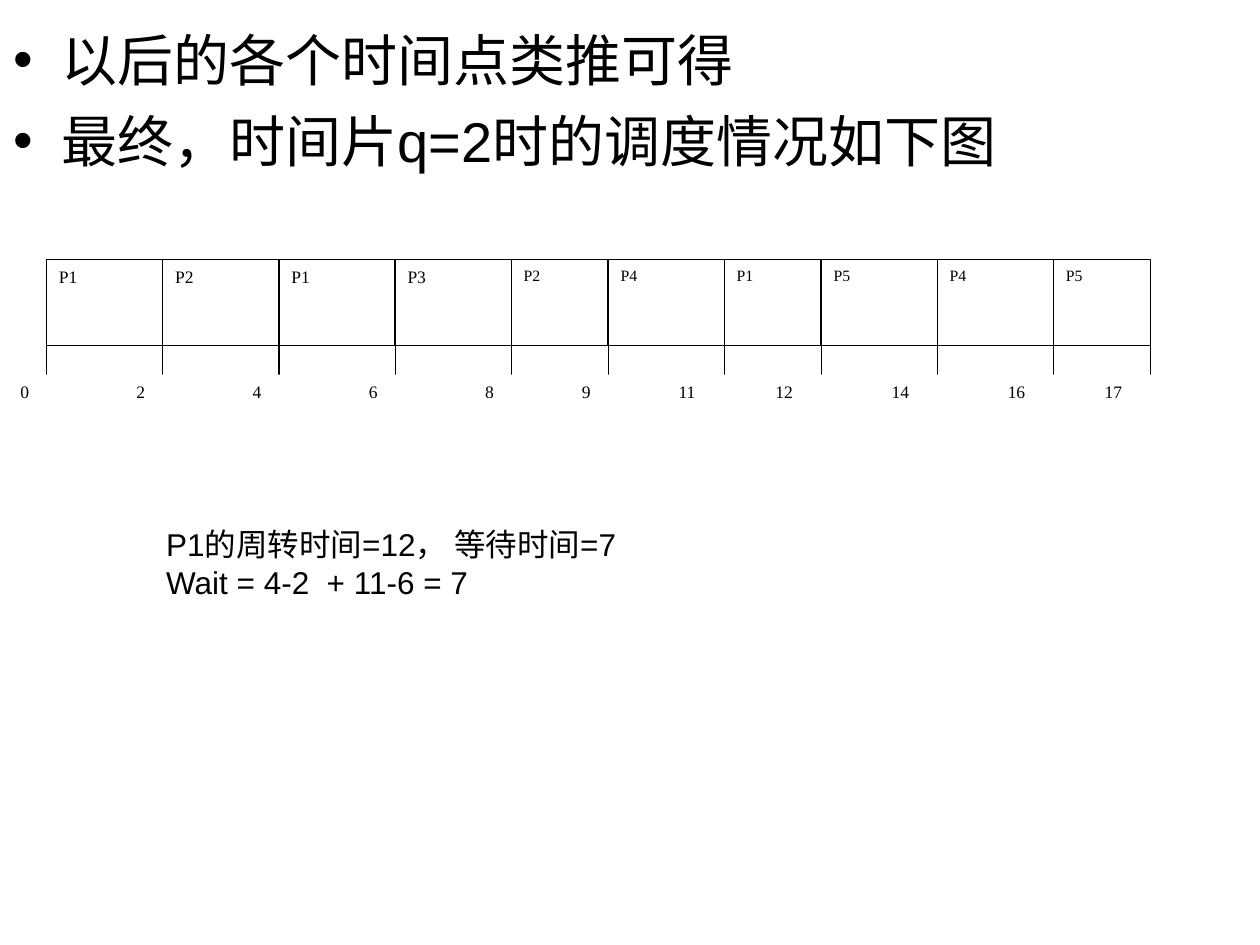
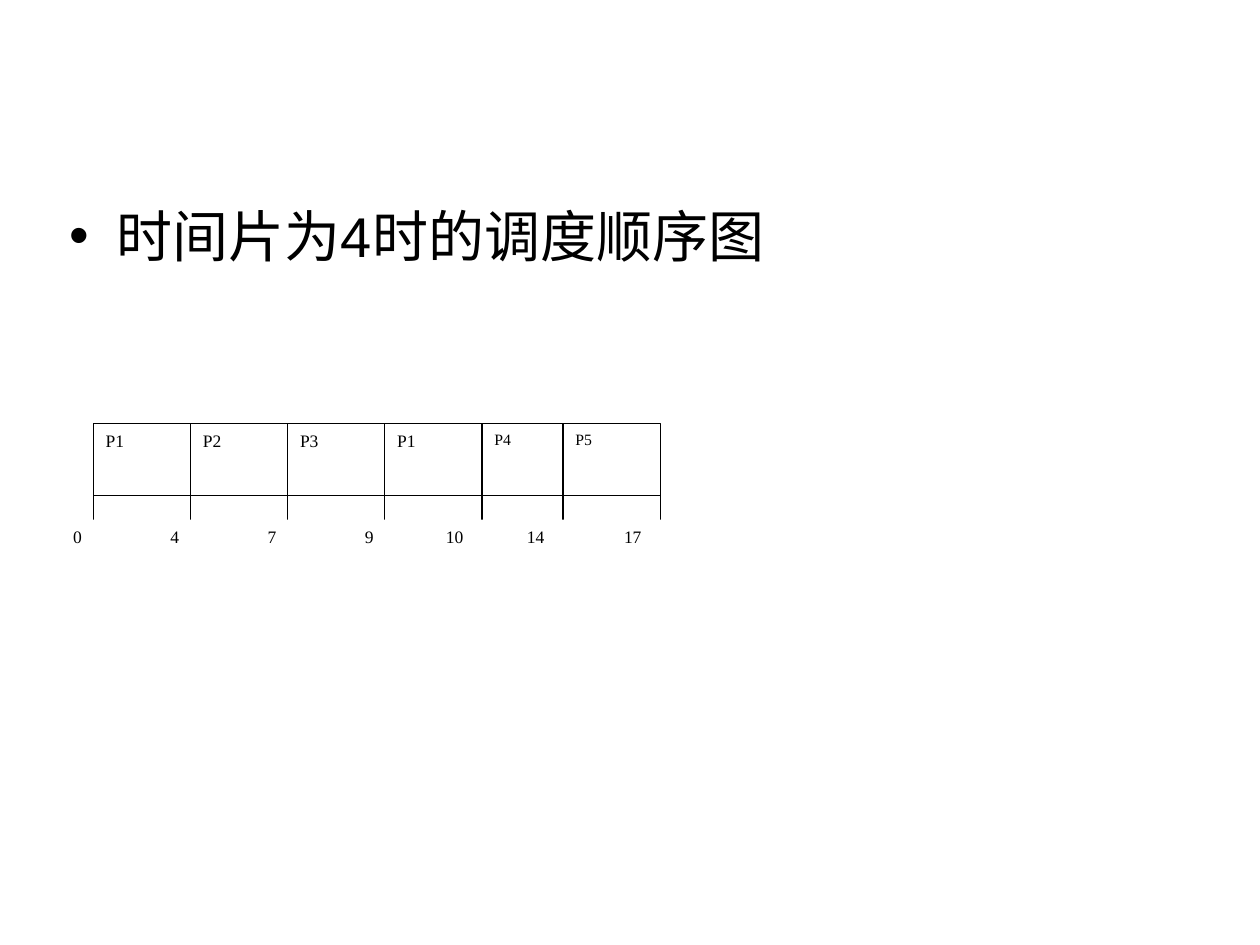
"""Build two slides that show round-robin schedules as Gantt strips."""
from dataclasses import dataclass
from itertools import accumulate

from lxml.etree import SubElement
from pptx import Presentation
from pptx.dml.color import RGBColor
from pptx.enum.shapes import MSO_CONNECTOR, MSO_SHAPE
from pptx.enum.text import MSO_ANCHOR, MSO_AUTO_SIZE, PP_ALIGN
from pptx.oxml.ns import qn
from pptx.util import Inches, Pt


@dataclass(frozen=True)
class Theme:
    ink: RGBColor = RGBColor(0, 0, 0)
    paper: RGBColor = RGBColor(255, 255, 255)
    sans: str = "Arial"
    serif: str = "Times New Roman"
    bullet: int = 32
    note: int = 18
    label: int = 10
    small: int = 9
    line: float = 0.75


THEME = Theme()

SLIDES = [
    {
        "bullets": ["以后的各个时间点类推可得", "最终，时间片q=2时的调度情况如下图"],
        "body": (0.01, 0.15, 9.24, 6.41),
        "strip": (0.37, 2.06, 8.76),
        "jobs": ["P1", "P2", "P1", "P3", "P2", "P4", "P1", "P5", "P4", "P5"],
        "units": [6, 6, 6, 6, 5, 6, 5, 6, 6, 5],
        "times": [0, 2, 4, 6, 8, 9, 11, 12, 14, 16, 17],
        "note": ["P1的周转时间=12， 等待时间=7", "Wait = 4-2  + 11-6 = 7"],
        "note_box": (1.22, 4.12, 4.01, 0.7),
    },
    {
        "bullets": ["时间片为4时的调度顺序图"],
        "body": (0.45, 1.55, 9, 4.95),
        "strip": (0.74, 3.36, 4.5),
        "jobs": ["P1", "P2", "P3", "P1", "P4", "P5"],
        "units": [6, 6, 6, 6, 5, 6],
        "times": [0, 4, 7, 9, 10, 14, 17],
    },
]

LARGE_JOBS = 4
BOX_UNITS, TICK_UNITS, LABEL_UNITS = 4.45, 1.5, 3.7


def style(p, size, font):
    for r in p.runs:
        r.font.size = Pt(size)
        r.font.name = font
        r.font.color.rgb = THEME.ink


def write(tf, lines, size, font):
    tf.text = "\n".join(lines)
    for p in tf.paragraphs:
        style(p, size, font)


def add_bullets(s, lines, box):
    s.shapes.title.element.getparent().remove(s.shapes.title.element)
    sp = s.placeholders[1]
    sp.left, sp.top, sp.width, sp.height = map(Inches, box)
    write(sp.text_frame, lines, THEME.bullet, THEME.sans)
    for i, p in enumerate(sp.text_frame.paragraphs):
        p.space_before = Pt(8 if i else 0)


def add_cell(group, text, box, size, outlined):
    sp = group.shapes.add_shape(MSO_SHAPE.RECTANGLE, *map(Inches, box))
    sp.shadow.inherit = False
    sp.fill.solid()
    sp.fill.fore_color.rgb = THEME.paper
    if outlined:
        sp.line.color.rgb = THEME.ink
        sp.line.width = Pt(THEME.line)
    else:
        sp.line.fill.background()
    tf = sp.text_frame
    tf.vertical_anchor = MSO_ANCHOR.TOP
    write(tf, [text], size, THEME.serif)
    tf.paragraphs[0].alignment = PP_ALIGN.JUSTIFY


def add_tick(group, x, top, bottom):
    tick = group.shapes.add_connector(
        MSO_CONNECTOR.STRAIGHT, Inches(x), Inches(top), Inches(x), Inches(bottom))
    tick.line.color.rgb = THEME.ink
    tick.line.width = Pt(THEME.line)
    SubElement(tick.element.spPr, qn("a:effectLst"))


def add_strip(s, strip, jobs, units, times):
    left, top, span = strip
    unit = span / sum(units)
    edges = [left + unit * n for n in accumulate(units, initial=0)]
    tick_top = top + BOX_UNITS * unit
    label_top = tick_top + TICK_UNITS * unit
    group = s.shapes.add_group_shape()
    for i, (job, x, n) in enumerate(zip(jobs, edges, units)):
        size = THEME.label if i < LARGE_JOBS else THEME.small
        add_cell(group, job, (x, top, n * unit, BOX_UNITS * unit), size, True)
    for time, x in zip(times, edges):
        add_tick(group, x, tick_top, label_top)
        back, width = (2, 4) if time < 10 else (3, 5)
        box = (x - back * unit, label_top, width * unit, LABEL_UNITS * unit)
        add_cell(group, str(time), box, THEME.label, False)


def add_note(s, lines, box):
    tf = s.shapes.add_textbox(*map(Inches, box)).text_frame
    tf.word_wrap = False
    tf.auto_size = MSO_AUTO_SIZE.SHAPE_TO_FIT_TEXT
    write(tf, lines, THEME.note, THEME.sans)


def main():
    prs = Presentation()
    prs.slide_width, prs.slide_height = Inches(10), Inches(7.5)
    for content in SLIDES:
        s = prs.slides.add_slide(prs.slide_layouts[1])
        add_bullets(s, content["bullets"], content["body"])
        add_strip(s, content["strip"], content["jobs"], content["units"], content["times"])
        if "note" in content:
            add_note(s, content["note"], content["note_box"])
    prs.save("out.pptx")


if __name__ == "__main__":
    main()
